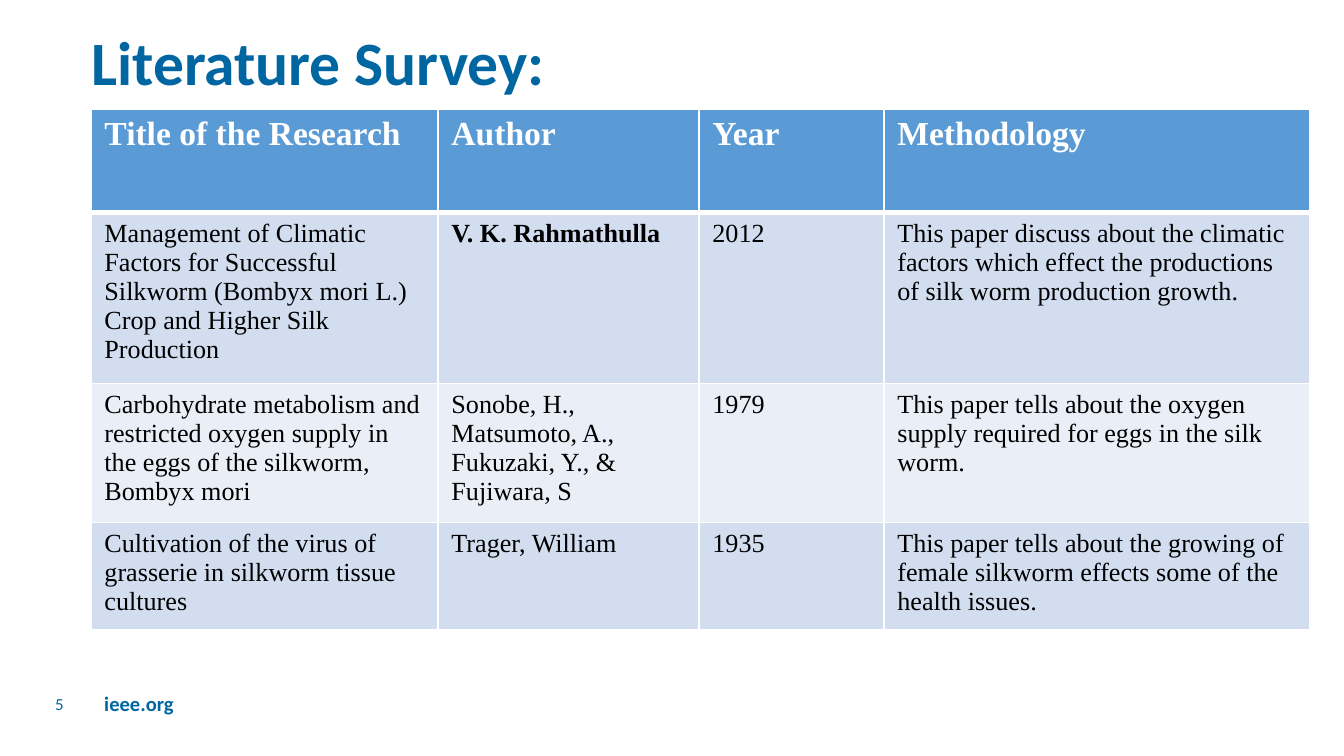
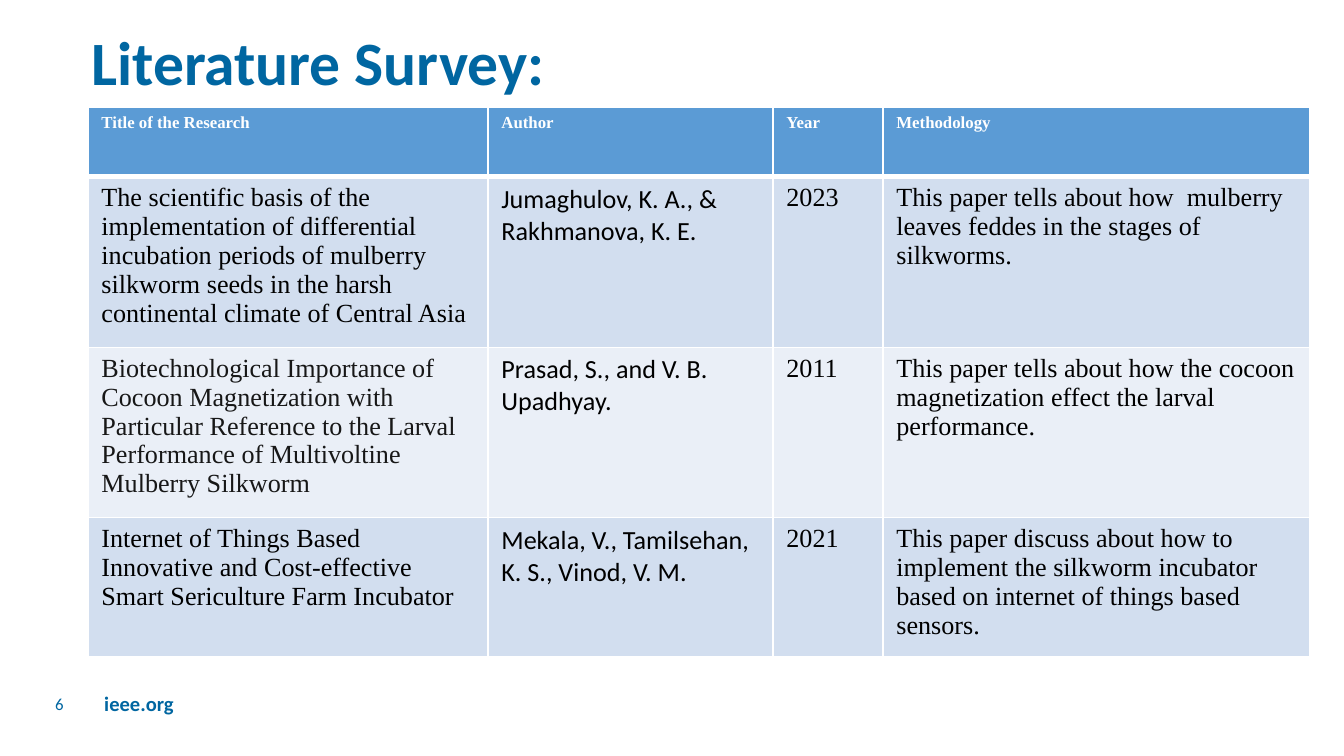
from lxml import etree
from pptx import Presentation
from pptx.dml.color import RGBColor as RGB
from pptx.enum.text import MSO_ANCHOR as Anchor, PP_ALIGN as Align
from pptx.oxml import parse_xml
from pptx.util import Pt

PX = 9144000 / 1344  # the slide is 1344 px wide
NS = "http://schemas.openxmlformats.org/drawingml/2006/main"

BLUE = RGB(0x00, 0x66, 0xA1)
HEAD = RGB(0x5B, 0x9B, 0xD5)
BANDS = [RGB(0xD2, 0xDE, 0xEF), RGB(0xEA, 0xEF, 0xF7)]
WHITE = RGB(0xFF, 0xFF, 0xFF)
BLACK = RGB(0x00, 0x00, 0x00)
DARK = RGB(0x17, 0x17, 0x17)
SANS, SERIF = "Calibri", "Times New Roman"

TITLE = {"name": SANS, "size": Pt(33), "bold": True}
SITE = {"name": SANS, "size": Pt(11), "bold": True}
NUM = {"name": SANS, "size": Pt(9), "bold": False}
BODY = {"name": SERIF, "size": Pt(14), "bold": False}

HEADS = ["Title of the Research", "Author", "Year", "Methodology"]

# One entry per slide; "special" holds formats by (row, column)
PAGES = [
    {
        "num": "5", "box": (91, 109, 1219, 521), "head": 18,
        "cols": [347, 261, 185, 426], "rows": [104, 104, 133, 104],
        "author": SANS and SERIF,
        "special": {(1, 1): {"bold": True}},
        "data": [
            ["Management of Climatic Factors for Successful Silkworm "
             "(Bombyx mori L.) Crop and Higher Silk Production",
             "V. K. Rahmathulla", "2012",
             "This paper discuss about the climatic factors which effect "
             "the productions of silk worm production growth."],
            ["Carbohydrate metabolism and restricted oxygen supply in the "
             "eggs of the silkworm, Bombyx mori ",
             "Sonobe, H., Matsumoto, A., Fukuzaki, Y., & Fujiwara, S", "1979",
             "This paper tells about the oxygen supply required for eggs "
             "in the silk worm."],
            ["Cultivation of the virus of grasserie in silkworm tissue cultures",
             "Trager, William", "1935",
             "This paper tells about the growing of female silkworm effects "
             "some of the health issues."],
        ],
    },
    {
        "num": "6", "box": (88, 107, 1222, 550), "head": 9,
        "cols": [400, 285, 110, 427], "rows": [70, 77, 78, 77],
        "author": SANS,
        "special": {(2, 0): {"color": DARK}},
        "data": [
            ["The scientific basis of the implementation of differential "
             "incubation periods of mulberry silkworm seeds in the harsh "
             "continental climate of Central Asia",
             "Jumaghulov, K. A., & Rakhmanova, K. E.", "2023",
             "This paper tells about how  mulberry leaves feddes in the "
             "stages of silkworms."],
            ["Biotechnological Importance of Cocoon Magnetization with "
             "Particular Reference to the Larval Performance of Multivoltine "
             "Mulberry Silkworm",
             "Prasad, S., and V. B. Upadhyay. ", "2011",
             "This paper tells about how the cocoon magnetization effect the "
             "larval performance."],
            ["Internet of Things Based Innovative and Cost-effective Smart "
             "Sericulture Farm Incubator",
             "Mekala, V., Tamilsehan, K. S., Vinod, V. M.", "2021",
             "This paper discuss about how to implement the silkworm "
             "incubator based on internet of things based sensors."],
        ],
    },
]


def write(frame, text, look, color):
    """Put one formatted paragraph into a text frame."""
    frame.text = text
    para = frame.paragraphs[0]
    para.alignment = Align.LEFT
    font = para.runs[0].font
    for key, value in look.items():
        setattr(font, key, value)
    font.color.rgb = color
    return para


def edge(cell, row):
    """Draw white cell borders, thick between header and body."""
    thick = {"lnT": row == 1, "lnB": row == 0}
    props = cell._tc.get_or_add_tcPr()
    for i, side in enumerate(["lnL", "lnR", "lnT", "lnB"]):
        width = Pt(3 if thick.get(side) else 1)
        line = parse_xml(f'<a:{side} xmlns:a="{NS}" w="{width}"/>')
        fill = etree.SubElement(line, f"{{{NS}}}solidFill")
        etree.SubElement(fill, f"{{{NS}}}srgbClr", val=str(WHITE))
        props.insert(i, line)


prs = Presentation()
prs.slide_width, prs.slide_height = round(1344 * PX), round(756 * PX)

for page in PAGES:
    slide = prs.slides.add_slide(prs.slide_layouts[5])

    # Title
    title = slide.shapes.title
    spot = {"left": 78, "top": 15, "width": 1159, "height": 91}
    for key, value in spot.items():
        setattr(title, key, round(value * PX))
    title.text_frame.vertical_anchor = Anchor.BOTTOM
    para = write(title.text_frame, "Literature Survey:", TITLE, BLUE)
    para.line_spacing = 0.9

    # Footer: site and page number
    for text, look, box, anchor, wrap in [
        ("ieee.org", SITE, (91, 684, 97, 39), Anchor.TOP, False),
        (page["num"], NUM, (42, 684, 71, 40), Anchor.MIDDLE, True),
    ]:
        foot = slide.shapes.add_textbox(*[round(v * PX) for v in box])
        foot.text_frame.word_wrap = wrap
        foot.text_frame.vertical_anchor = anchor
        write(foot.text_frame, text, look, BLUE)

    # Table
    cells = [HEADS] + page["data"]
    box = [round(v * PX) for v in page["box"]]
    frame = slide.shapes.add_table(len(cells), len(HEADS), *box)
    table = frame.table
    table.horz_banding = False
    for col, width in zip(table.columns, page["cols"]):
        col.width = round(width * PX)
    for row, height in zip(table.rows, page["rows"]):
        row.height = round(height * PX)
    frame.height = box[3]

    for r, texts in enumerate(cells):
        for c, text in enumerate(texts):
            cell = table.cell(r, c)
            look = dict(BODY)
            if r == 0:
                look.update(size=Pt(page["head"]), bold=True)
            elif c == 1:
                look["name"] = page["author"]
            look.update(page["special"].get((r, c), {}))
            color = look.pop("color", BLACK if r else WHITE)
            write(cell.text_frame, text, look, color)
            cell.fill.solid()
            cell.fill.fore_color.rgb = BANDS[(r - 1) % 2] if r else HEAD
            edge(cell, r)

prs.save("out.pptx")
